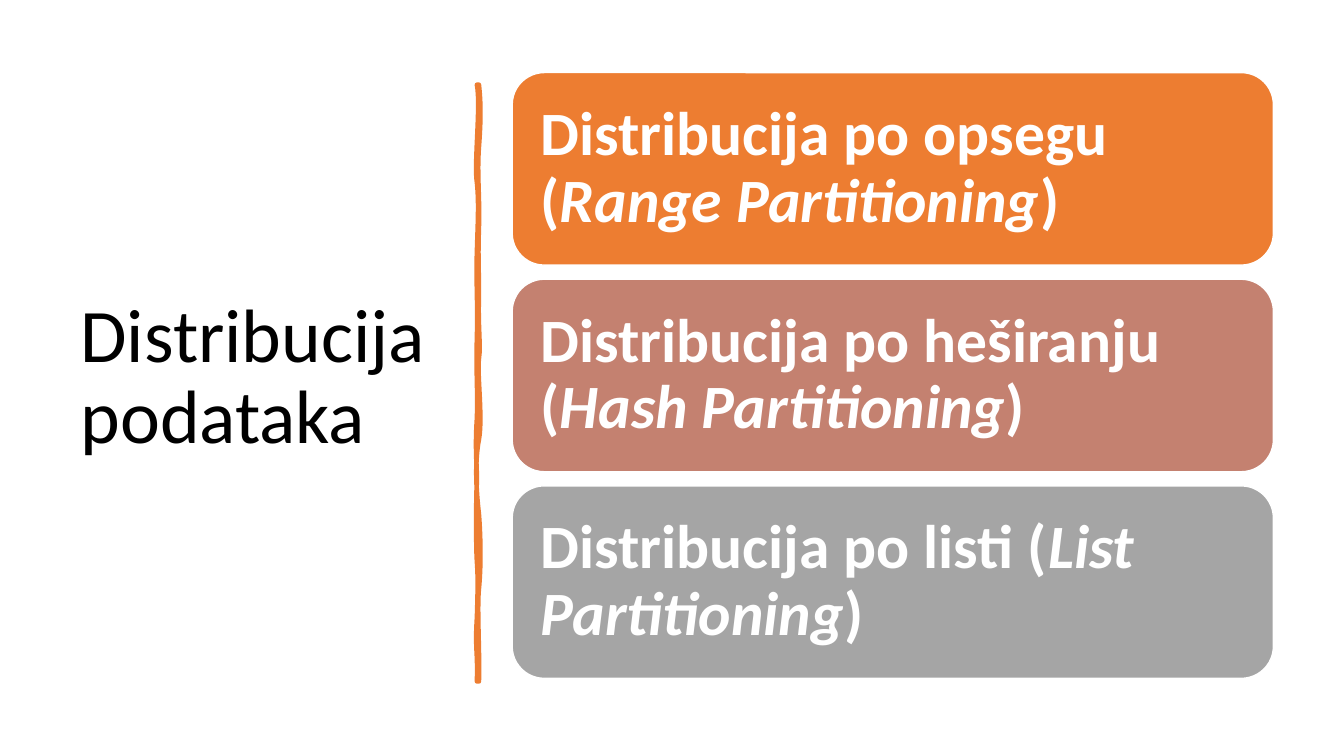
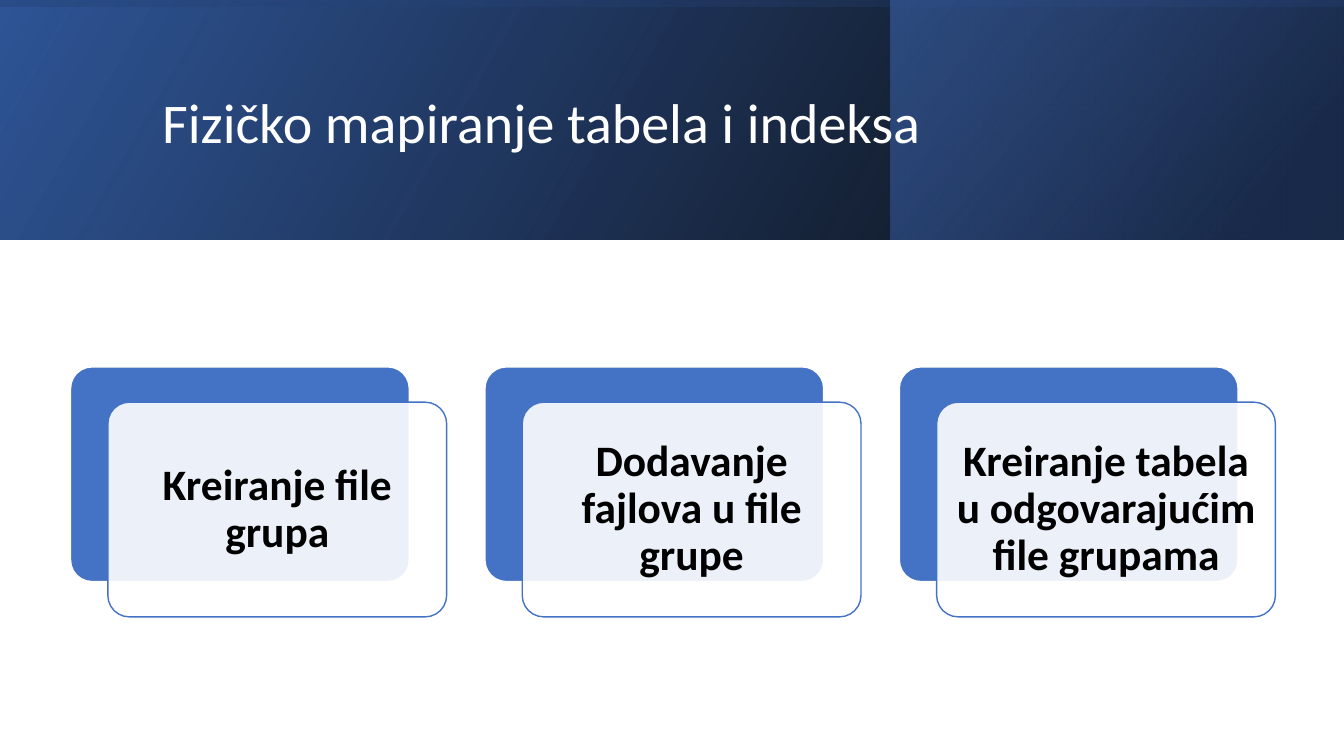
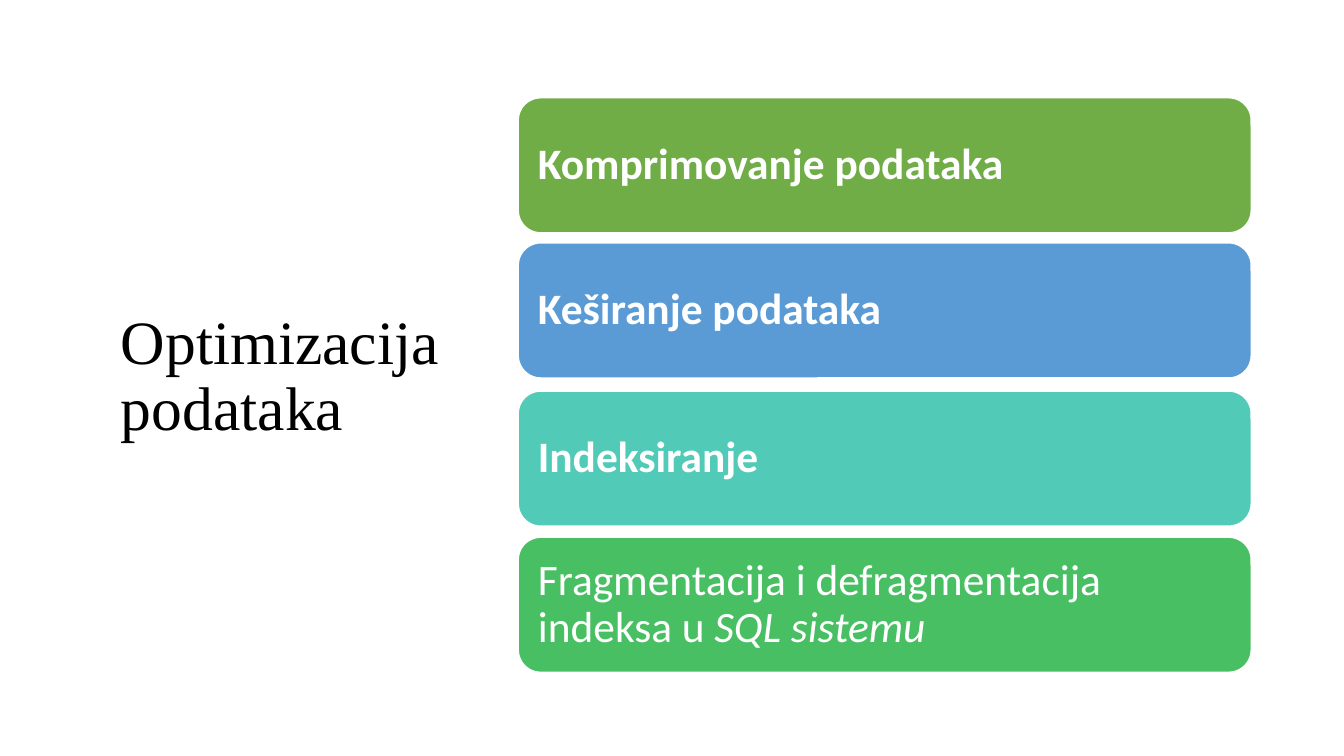
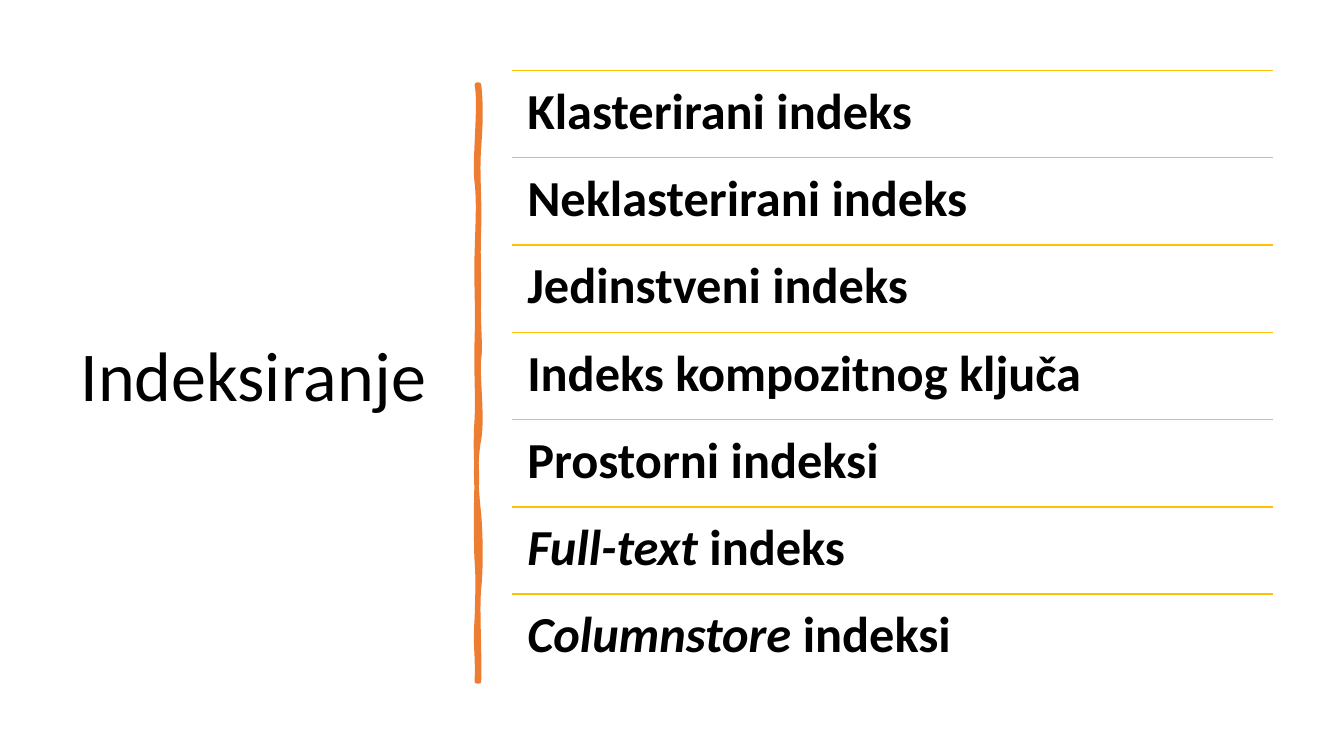
"""Build four slides on data distribution, physical mapping and indexing."""
from dataclasses import dataclass
from typing import Any, Optional

from lxml import etree
from pptx import Presentation
from pptx.dml.color import RGBColor
from pptx.enum.shapes import MSO_CONNECTOR, MSO_SHAPE
from pptx.enum.text import MSO_ANCHOR, PP_ALIGN
from pptx.oxml.ns import qn
from pptx.util import Inches, Pt

RECT, ROUND_RECT = MSO_SHAPE.RECTANGLE, MSO_SHAPE.ROUNDED_RECTANGLE
STRAIGHT = MSO_CONNECTOR.STRAIGHT
TOP, MIDDLE = MSO_ANCHOR.TOP, MSO_ANCHOR.MIDDLE
LEFT, CENTER = PP_ALIGN.LEFT, PP_ALIGN.CENTER

BLACK = RGBColor(0x00, 0x00, 0x00)
WHITE = RGBColor(0xFF, 0xFF, 0xFF)
ORANGE = RGBColor(0xED, 0x7D, 0x31)
ROSE = RGBColor(0xC4, 0x81, 0x70)
GRAY = RGBColor(0xA5, 0xA5, 0xA5)
GOLD = RGBColor(0xFF, 0xC0, 0x00)
BLUE = RGBColor(0x44, 0x72, 0xC4)
DEEP_BLUE = RGBColor(0x2F, 0x55, 0x97)
NAVY = RGBColor(0x20, 0x38, 0x64)
SKY = RGBColor(0x5B, 0x9B, 0xD5)
TEAL = RGBColor(0x52, 0xCA, 0xB8)
GREEN = RGBColor(0x70, 0xAD, 0x47)
EMERALD = RGBColor(0x49, 0xBF, 0x64)

BODY_FONT, SERIF_FONT = "Calibri", "Times New Roman"

BRUSH_START = (4.75, 0.84)
BRUSH_CURVES = (
    (4.77, 1.02, 4.77, 1.19, 4.75, 1.46),
    (4.73, 1.73, 4.76, 1.95, 4.75, 2.26),
    (4.74, 2.57, 4.75, 2.62, 4.75, 2.94),
    (4.74, 3.25, 4.77, 3.42, 4.75, 3.56),
    (4.73, 3.7, 4.79, 4.14, 4.75, 4.36),
    (4.71, 4.57, 4.72, 4.84, 4.75, 5.1),
    (4.77, 5.36, 4.77, 5.64, 4.75, 5.84),
    (4.73, 6.03, 4.76, 6.5, 4.75, 6.76),
    (4.74, 6.76, 4.73, 6.76, 4.73, 6.76),
    (4.74, 6.46, 4.71, 6.44, 4.73, 6.13),
    (4.74, 5.83, 4.74, 5.7, 4.73, 5.57),
    (4.72, 5.44, 4.72, 4.95, 4.73, 4.77),
    (4.73, 4.59, 4.71, 4.45, 4.73, 4.15),
    (4.74, 3.86, 4.72, 3.73, 4.73, 3.35),
    (4.74, 2.98, 4.72, 2.81, 4.73, 2.5),
    (4.74, 2.18, 4.75, 2.0, 4.73, 1.81),
    (4.7, 1.63, 4.77, 1.04, 4.73, 0.84),
    (4.74, 0.84, 4.74, 0.84, 4.75, 0.84),
)


@dataclass(frozen=True)
class Box:
    """A rectangle in inches."""
    x: float
    y: float
    w: float
    h: float

    def emu(self) -> tuple[int, ...]:
        """Return left, top, width and height as lengths."""
        return tuple(Inches(v) for v in (self.x, self.y, self.w, self.h))


@dataclass(frozen=True)
class Card:
    """A coloured card; asterisks in its text enclose italics."""
    text: str
    fill: RGBColor
    top: float
    bold: bool = True


@dataclass(frozen=True)
class Stop:
    """A gradient stop with position and opacity in percent."""
    pos: int
    color: RGBColor
    alpha: int = 100


@dataclass(frozen=True)
class Band:
    """A mirrored gradient rectangle with a clockwise gradient angle."""
    box: Box
    stops: tuple[Stop, Stop]
    angle: int
    rotation: int = 0


TITLE_BOX = Box(0.7, 0.7, 3.74, 6.11)

DISTRIBUTION_CARDS = (
    Card("Distribucija po opsegu (*Range Partitioning*)", ORANGE, 0.72),
    Card("Distribucija po heširanju (*Hash Partitioning*)", ROSE, 2.77),
    Card("Distribucija po listi (*List Partitioning*)", GRAY, 4.82),
)
OPTIMIZATION_CARDS = (
    Card("Komprimovanje podataka", GREEN, 0.97),
    Card("Keširanje podataka", SKY, 2.41),
    Card("Indeksiranje", TEAL, 3.88),
    Card("Fragmentacija i defragmentacija indeksa u *SQL sistemu*", EMERALD, 5.33, False),
)
HEADER_BANDS = (
    Band(Box(0, 0, 13.33, 2.38), (Stop(0, BLACK, 96), Stop(100, DEEP_BLUE)), 330),
    Band(Box(8.83, 0, 4.5, 2.38), (Stop(19, NAVY, 68), Stop(100, BLUE, 48)), 320),
    Band(Box(5.48, -5.48, 2.37, 13.33),
         (Stop(23, DEEP_BLUE, 16), Stop(99, BLACK, 45)), 350, 270),
)
MAPPING_STEPS = (
    "Kreiranje file grupa",
    "Dodavanje fajlova u file grupe",
    "Kreiranje tabela u odgovarajućim file grupama",
)
INDEX_TYPES = (
    "Klasterirani indeks",
    "Neklasterirani indeks",
    "Jedinstveni indeks",
    "Indeks kompozitnog ključa",
    "Prostorni indeksi",
    "*Full-text* indeks",
    "*Columnstore* indeksi",
)


def write(sp: Any, text: str, *, size: float, color: RGBColor = BLACK,
          font: str = BODY_FONT, bold: bool = False, align: PP_ALIGN = LEFT,
          anchor: MSO_ANCHOR = MIDDLE, inset: Optional[float] = None) -> None:
    """Write one paragraph, with text between asterisks in italics."""
    tf = sp.text_frame
    tf.word_wrap = True
    tf.vertical_anchor = anchor
    if inset is not None:
        tf.margin_left = tf.margin_right = Inches(inset)
        tf.margin_top = tf.margin_bottom = Inches(inset)
    p = tf.paragraphs[0]
    p.alignment = align
    p.line_spacing = 0.9
    for i, part in enumerate(text.split("*")):
        if part:
            r = p.add_run()
            r.text = part
            r.font.name = font
            r.font.size = Pt(size)
            r.font.bold = bold
            r.font.italic = i % 2 == 1
            r.font.color.rgb = color


def set_alpha(color: Any, percent: int) -> None:
    """Give a colour element an opacity."""
    etree.SubElement(color, qn("a:alpha")).set("val", str(percent * 1000))


def add_title(s: Any, text: str, box: Box = TITLE_BOX, **style: Any) -> None:
    """Add a slide title."""
    write(s.shapes.add_textbox(*box.emu()), text, **style)


def add_round_box(s: Any, box: Box, fill: RGBColor, line: RGBColor = WHITE,
                  corner: Optional[float] = None) -> Any:
    """Add a rounded rectangle with a thin outline."""
    sp = s.shapes.add_shape(ROUND_RECT, *box.emu())
    sp.shadow.inherit = False
    if corner is not None:
        sp.adjustments[0] = corner
    sp.fill.solid()
    sp.fill.fore_color.rgb = fill
    sp.line.color.rgb = line
    sp.line.width = Pt(1)
    return sp


def add_cards(s: Any, cards: tuple[Card, ...], x: float, w: float, h: float,
              size: float, inset: float) -> None:
    """Add a column of cards."""
    for card in cards:
        sp = add_round_box(s, Box(x, card.top, w, h), card.fill)
        write(sp, card.text, size=size, color=WHITE, bold=card.bold, inset=inset)


def add_band(s: Any, band: Band) -> None:
    """Add a header gradient."""
    sp = s.shapes.add_shape(RECT, *band.box.emu())
    sp.shadow.inherit = False
    sp.line.fill.background()
    sp.rotation = band.rotation
    sp.element.spPr.find(qn("a:xfrm")).set("flipH", "1")
    sp.fill.gradient()
    sp.fill.gradient_angle = 360 - band.angle
    for gs, stop in zip(sp.fill.gradient_stops, band.stops):
        gs.position = stop.pos / 100
        gs.color.rgb = stop.color
    colors = sp.element.spPr.iter(qn("a:srgbClr"))
    for color, stop in zip(list(colors), band.stops):
        set_alpha(color, stop.alpha)


def add_brush(s: Any) -> None:
    """Add the vertical brush stroke beside a title."""
    x, y = BRUSH_START
    builder = s.shapes.build_freeform(Inches(x), Inches(y))
    ends = [(Inches(curve[4]), Inches(curve[5])) for curve in BRUSH_CURVES]
    builder.add_line_segments(ends, close=True)
    sp = builder.convert_to_shape()
    lines = list(sp.element.spPr.iter(qn("a:lnTo")))
    for line, curve in zip(lines, BRUSH_CURVES):
        bezier = etree.Element(qn("a:cubicBezTo"))
        for px, py in zip(curve[::2], curve[1::2]):
            pt = etree.SubElement(bezier, qn("a:pt"))
            pt.set("x", str(Inches(px) - sp.left))
            pt.set("y", str(Inches(py) - sp.top))
        line.getparent().replace(line, bezier)
    sp.shadow.inherit = False
    sp.fill.solid()
    sp.fill.fore_color.rgb = ORANGE
    sp.line.color.rgb = ORANGE
    sp.line.width = Pt(3.25)
    etree.SubElement(sp.element.spPr.find(qn("a:ln")), qn("a:round"))


def add_rule(s: Any, x: float, y: float, w: float) -> None:
    """Add a horizontal gold line."""
    cn = s.shapes.add_connector(STRAIGHT, Inches(x), Inches(y), Inches(x + w), Inches(y))
    cn.line.color.rgb = GOLD
    cn.line.width = Pt(1)
    etree.SubElement(cn._element.spPr, qn("a:effectLst"))


def distribution_slide(s: Any) -> None:
    """Draw the kinds of data distribution."""
    add_title(s, "Distribucija podataka", size=54)
    add_brush(s)
    add_cards(s, DISTRIBUTION_CARDS, 5.08, 7.55, 1.91, size=44, inset=0.19)


def mapping_slide(s: Any) -> None:
    """Draw the steps of physical mapping."""
    for band in HEADER_BANDS:
        add_band(s, band)
    add_title(s, "Fizičko mapiranje tabela i indeksa", Box(1.51, 0.38, 10.63, 1.72),
              size=40, color=WHITE)
    w, h, pitch = 3.36, 2.13, 4.11
    for i, text in enumerate(MAPPING_STEPS):
        x = 0.7 + i * pitch
        add_round_box(s, Box(x, 3.64, w, h), BLUE, corner=0.1)
        sp = add_round_box(s, Box(x + 0.37, 3.99, w, h), WHITE, BLUE, corner=0.1)
        set_alpha(sp.element.spPr.find(qn("a:solidFill"))[0], 90)
        write(sp, text, size=31, bold=True, align=CENTER, inset=0.13)


def optimization_slide(s: Any) -> None:
    """Draw the ways of optimizing data."""
    add_title(s, "Optimizacija podataka", Box(1.1, 0.74, 3.82, 6.01),
              size=44, font=SERIF_FONT)
    add_cards(s, OPTIMIZATION_CARDS, 5.14, 7.27, 1.34, size=31, inset=0.13)


def indexing_slide(s: Any) -> None:
    """Draw the list of index types."""
    add_title(s, "Indeksiranje", size=50)
    add_brush(s)
    x, top, w, bottom = 5.08, 0.7, 7.55, 6.76
    pitch = (bottom - top) / len(INDEX_TYPES)
    for i, text in enumerate(INDEX_TYPES):
        y = top + i * pitch
        add_rule(s, x, y, w)
        sp = s.shapes.add_textbox(*Box(x, y, w, pitch).emu())
        write(sp, text, size=36, bold=True, anchor=TOP, inset=0.15)


def main() -> None:
    """Build and save the presentation."""
    prs = Presentation()
    prs.slide_width, prs.slide_height = Inches(13.33), Inches(7.5)
    for draw in (distribution_slide, mapping_slide, optimization_slide, indexing_slide):
        draw(prs.slides.add_slide(prs.slide_layouts[6]))
    prs.save("out.pptx")


if __name__ == "__main__":
    main()
